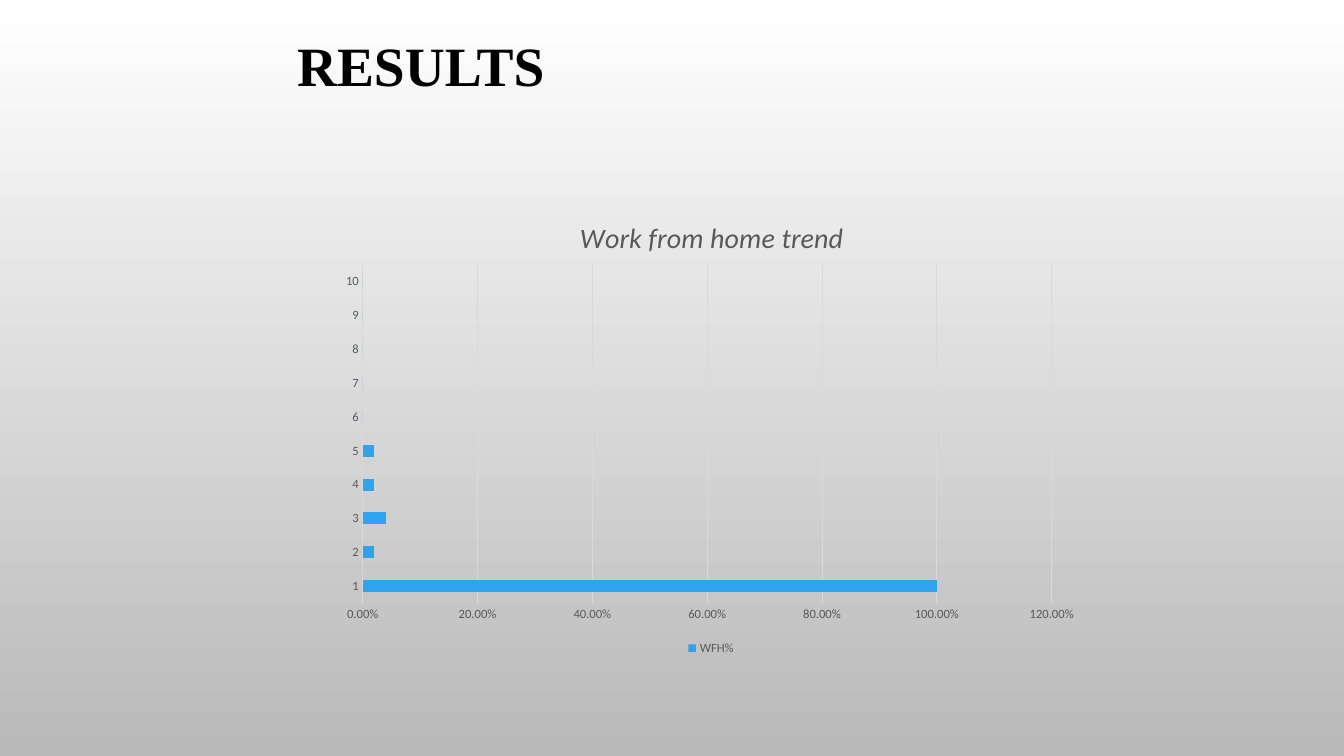
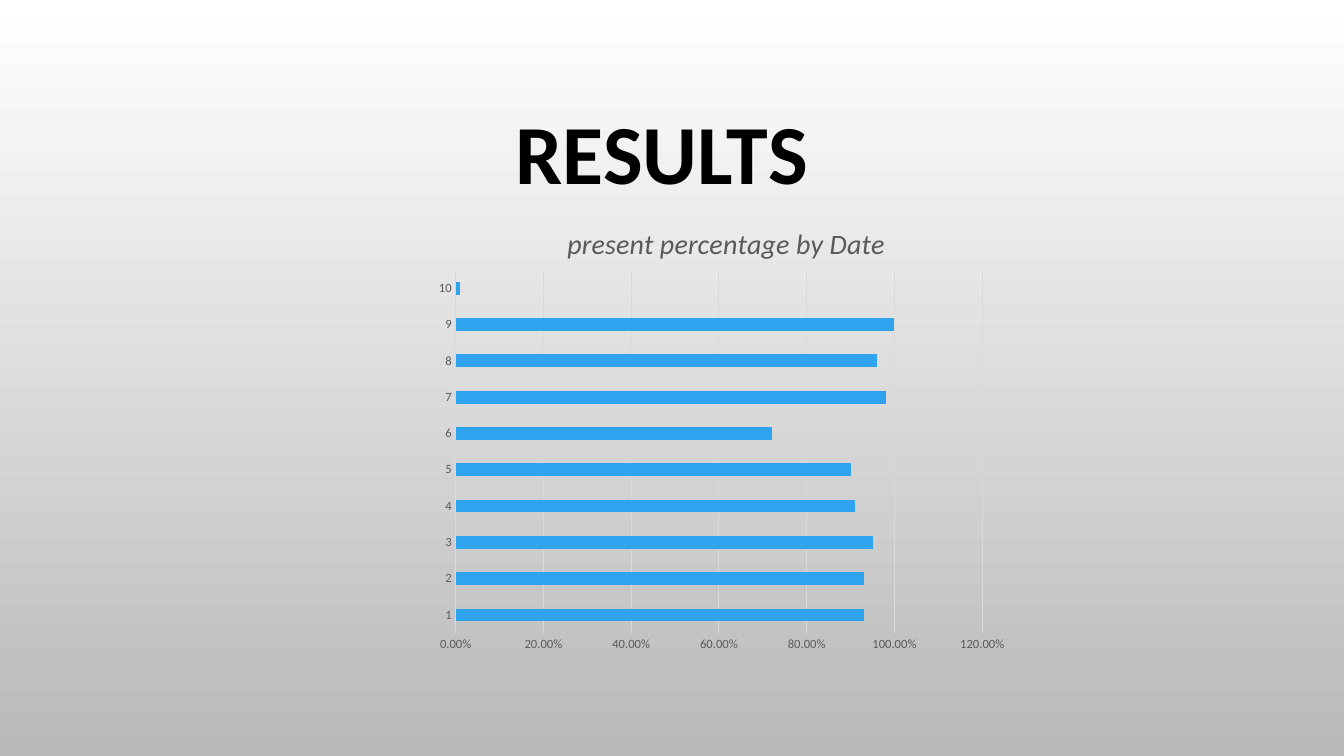
from dataclasses import dataclass

from lxml.etree import SubElement
from pptx import Presentation
from pptx.chart.data import CategoryChartData
from pptx.dml.color import RGBColor
from pptx.enum.chart import XL_CHART_TYPE, XL_LEGEND_POSITION, XL_TICK_MARK
from pptx.enum.text import MSO_ANCHOR, PP_ALIGN
from pptx.oxml.ns import qn
from pptx.util import Cm, Pt


@dataclass(frozen=True)
class Theme:
    top: RGBColor = RGBColor(0xFF, 0xFF, 0xFF)
    bottom: RGBColor = RGBColor(0xB9, 0xB9, 0xB9)
    ink: RGBColor = RGBColor(0, 0, 0)
    muted: RGBColor = RGBColor(0x59, 0x59, 0x59)
    grid: RGBColor = RGBColor(0xD9, 0xD9, 0xD9)
    bar: RGBColor = RGBColor(0x2F, 0xA3, 0xEE)
    body_font: str = "Calibri"
    serif_font: str = "Times New Roman"
    small_title: float = 39.6
    large_title: float = 60
    chart_title: float = 20
    label: float = 9
    line: float = 0.75


THEME = Theme()


def style_font(font, size, color, name=THEME.body_font, bold=False, italic=False):
    font.size, font.name = Pt(size), name
    font.bold, font.italic = bold, italic
    font.color.rgb = color


def set_background(master):
    fill = master.background.fill
    fill.gradient()
    fill.gradient_angle = 270
    for stop, color in zip(fill.gradient_stops, (THEME.top, THEME.bottom)):
        stop.color.rgb = color


def add_title(page, box, size, font_name):
    frame = page.shapes.add_textbox(*map(Cm, box)).text_frame
    frame.word_wrap = True
    frame.vertical_anchor = MSO_ANCHOR.MIDDLE
    para = frame.paragraphs[0]
    para.text = "RESULTS"
    para.alignment = PP_ALIGN.CENTER
    para.line_spacing = 0.9
    style_font(para.font, size, THEME.ink, font_name, bold=True)


def set_layout(parent, index, target=None, **fractions):
    """Place a chart part at fractions of the chart's box."""
    for old in parent.findall(qn("c:layout")):
        parent.remove(old)
    layout = SubElement(parent, qn("c:layout"))
    parent.insert(index, layout)
    manual = SubElement(layout, qn("c:manualLayout"))
    settings = {"layoutTarget": target} if target else {}
    settings.update(xMode="edge", yMode="edge", **fractions)
    for name, value in settings.items():
        SubElement(manual, qn(f"c:{name}")).set("val", str(value))


def style_axes(chart):
    for axis in (chart.category_axis, chart.value_axis):
        axis.major_tick_mark = axis.minor_tick_mark = XL_TICK_MARK.NONE
        style_font(axis.tick_labels.font, THEME.label, THEME.muted)
    values = chart.value_axis
    values.minimum_scale, values.maximum_scale, values.major_unit = 0, 1.2, 0.2
    values.tick_labels.number_format = "0.00%"
    values.tick_labels.number_format_is_linked = False
    values.format.line.fill.background()
    values.has_major_gridlines = True
    for part in (chart.category_axis, values.major_gridlines):
        part.format.line.color.rgb = THEME.grid
        part.format.line.width = Pt(THEME.line)


def add_bar_chart(page, box, title, series_name, shares, title_at, plot_at, legend=False):
    data = CategoryChartData(number_format="0.00%")
    data.categories = [str(number) for number in range(1, len(shares) + 1)]
    data.add_series(series_name, shares)
    chart = page.shapes.add_chart(XL_CHART_TYPE.BAR_CLUSTERED, *map(Cm, box), data).chart
    style_font(chart.font, 10, THEME.ink)

    # Heading
    chart.has_title = True
    para = chart.chart_title.text_frame.paragraphs[0]
    para.text = title
    style_font(para.font, THEME.chart_title, THEME.muted, italic=True)
    set_layout(chart.chart_title._element, 1, **title_at)

    # Bars and axes
    plot = chart.plots[0]
    plot.gap_width = 182
    plot.vary_by_categories = False
    plot.series[0].format.fill.solid()
    plot.series[0].format.fill.fore_color.rgb = THEME.bar
    style_axes(chart)
    set_layout(chart._chartSpace.chart.plotArea, 0, "inner", **plot_at)

    # Legend
    chart.has_legend = legend
    if legend:
        chart.legend.position = XL_LEGEND_POSITION.BOTTOM
        chart.legend.include_in_layout = False
        style_font(chart.legend.font, THEME.label, THEME.muted)


def add_home_page(page):
    add_title(page, (5.59, 0.84, 10.03, 1.8), THEME.small_title, THEME.serif_font)
    add_bar_chart(
        page, (8.38, 4.78, 19.08, 11.84), "Work from home trend", "WFH%",
        (1, 0.02, 0.04, 0.02, 0.02, 0, 0, 0, 0, 0),
        title_at={"x": 0.32, "y": 0.05},
        plot_at={"x": 0.04, "y": 0.16, "w": 0.91, "h": 0.72}, legend=True)


def add_presence_page(page):
    add_title(page, (2.29, 1.73, 28.78, 4.45), THEME.large_title, THEME.body_font)
    add_bar_chart(
        page, (10.74, 4.93, 14.91, 11.73), "present percentage by Date", "Series 1",
        (0.93, 0.93, 0.95, 0.91, 0.9, 0.72, 0.98, 0.96, 1, 0.01),
        title_at={"x": 0.23, "y": 0.05},
        plot_at={"x": 0.05, "y": 0.16, "w": 0.89, "h": 0.78})


def main():
    deck = Presentation()
    deck.slide_width, deck.slide_height = Cm(33.87), Cm(19.05)
    set_background(deck.slide_master)
    for fill_page in (add_home_page, add_presence_page):
        fill_page(deck.slides.add_slide(deck.slide_layouts[6]))
    deck.save("out.pptx")


if __name__ == "__main__":
    main()
